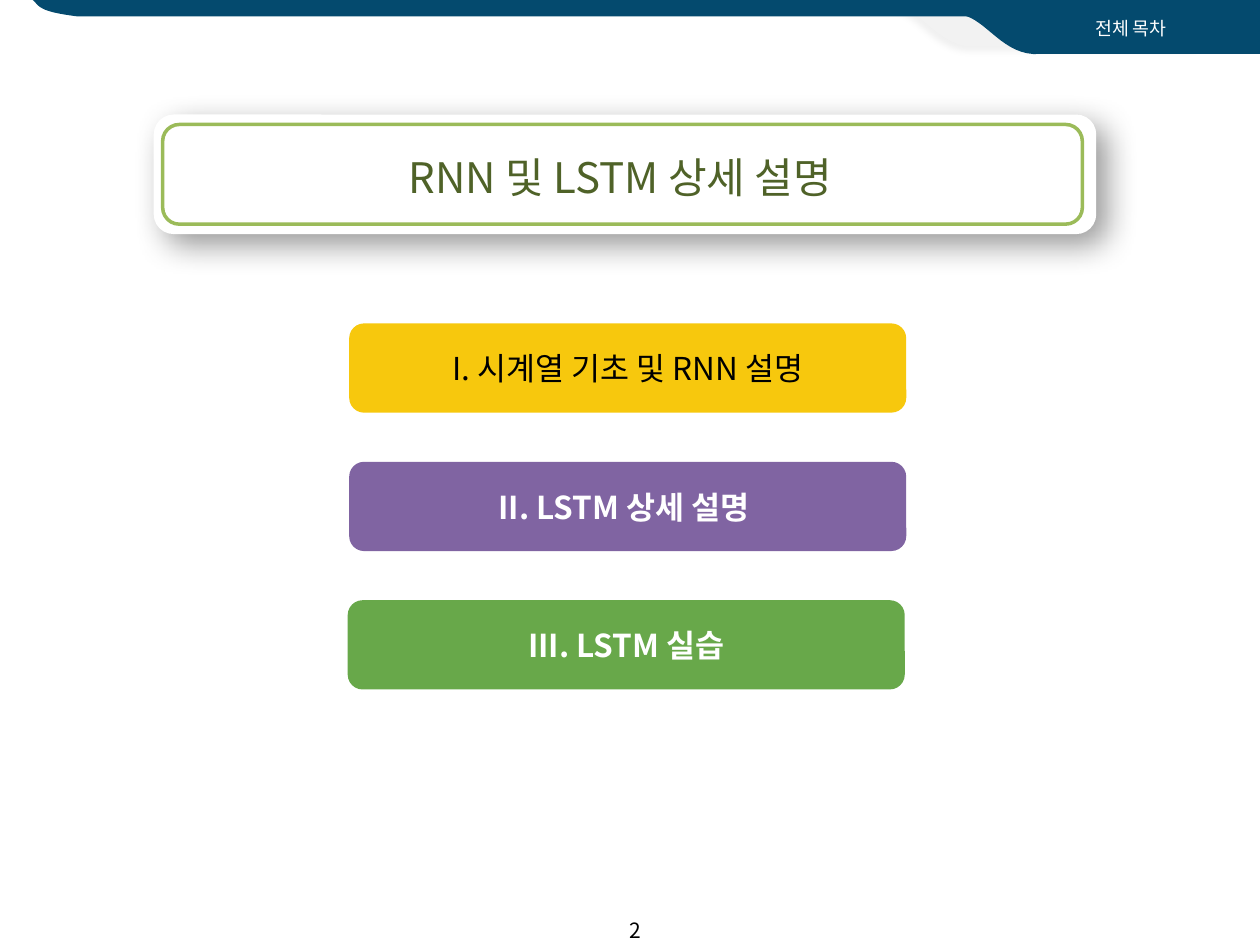
from lxml import etree
from pptx import Presentation
from pptx.dml.color import RGBColor
from pptx.enum.shapes import MSO_SHAPE
from pptx.enum.text import MSO_ANCHOR, PP_ALIGN
from pptx.oxml.ns import qn
from pptx.util import Cm, Pt

ROUNDED = MSO_SHAPE.ROUNDED_RECTANGLE
CENTER = PP_ALIGN.CENTER
MIDDLE, TOP = MSO_ANCHOR.MIDDLE, MSO_ANCHOR.TOP
FONT = "Noto Sans CJK KR"
NAVY, PALE, WHITE, BLACK = "044A6E", "F2F2F2", "FFFFFF", "000000"
CURVE_STEPS = 16


def color(hex_value):
    return RGBColor.from_string(hex_value)


def paint(shape, fill=None, line=None, width=2):
    """Set fill and outline; None leaves either one out."""
    shape.shadow.inherit = False
    if fill:
        shape.fill.solid()
        shape.fill.fore_color.rgb = color(fill)
    else:
        shape.fill.background()
    if line:
        shape.line.color.rgb = color(line)
        shape.line.width = Pt(width)
    else:
        shape.line.fill.background()


def add_shadow(shape, opacity, blur, distance, angle):
    effects = shape._element.spPr.find(qn("a:effectLst"))
    shadow = etree.SubElement(
        effects, qn("a:outerShdw"), blurRad=str(Pt(blur)), dist=str(Pt(distance)),
        dir=str(angle * 60000), algn="ctr", rotWithShape="0")
    tint = etree.SubElement(shadow, qn("a:srgbClr"), val=BLACK)
    etree.SubElement(tint, qn("a:alpha"), val=str(opacity * 1000))


def write(shape, text, size, ink=BLACK, bold=False, anchor=MIDDLE):
    frame = shape.text_frame
    frame.word_wrap = True
    frame.vertical_anchor = anchor
    paragraph = frame.paragraphs[0]
    paragraph.alignment = CENTER
    run = paragraph.add_run()
    run.text = text
    run.font.name = FONT
    run.font.size = Pt(size)
    run.font.bold = bold
    run.font.color.rgb = color(ink)
    etree.SubElement(run.font._element, qn("a:ea"), typeface=FONT)


def add_label(slide, box, text, **text_format):
    label = slide.shapes.add_textbox(*map(Cm, box))
    write(label, text, **text_format)


def add_rounded(slide, box, **look):
    shape = slide.shapes.add_shape(ROUNDED, *map(Cm, box))
    paint(shape, **look)
    return shape


def bezier(start, first, second, end):
    """Points along a cubic curve, without its start."""
    points = []
    for step in range(1, CURVE_STEPS + 1):
        t = step / CURVE_STEPS
        weights = ((1 - t) ** 3, 3 * t * (1 - t) ** 2, 3 * t * t * (1 - t), t ** 3)
        points.append(tuple(
            sum(w * value for w, value in zip(weights, axis))
            for axis in zip(start, first, second, end)))
    return points


def add_outline(slide, corners, controls, fill, offset=(0, 0)):
    """Straight edges through the corners, closed by one curve."""
    points = corners + bezier(corners[-1], *controls, corners[0])
    points = [(Cm(x + offset[0]), Cm(y + offset[1])) for x, y in points]
    builder = slide.shapes.build_freeform(*points[0])
    builder.add_line_segments(points[1:], close=True)
    outline = builder.convert_to_shape()
    paint(outline, fill=fill)
    return outline


def add_header(slide):
    tab = [(18.11, 0.15), (24.13, 0.15), (24.13, 0.94), (19.69, 0.94)]
    tab_curve = [(18.95, 0.99), (18.62, 0.23)]
    back_tab = add_outline(slide, tab, tab_curve, PALE)
    add_shadow(back_tab, opacity=5, blur=4, distance=3, angle=135)
    add_outline(slide, tab, tab_curve, NAVY, offset=(1.27, 0.15))

    band = [(0.66, 0), (25.4, 0), (25.4, 0.33), (1.55, 0.33)]
    add_outline(slide, band, [(0.76, 0.23), (0.81, 0.13)], NAVY)
    add_label(slide, (20.5, 0.23, 4.6, 0.71), "전체 목차",
              size=10.5, ink=WHITE, anchor=TOP)


def add_title_card(slide):
    card = add_rounded(slide, (3.1, 2.31, 19, 2.41), fill=WHITE)
    add_shadow(card, opacity=40, blur=18, distance=8, angle=45)
    add_label(slide, (3.33, 2.92, 18.54, 1.27), "RNN 및 LSTM 상세 설명 ",
              size=24, ink="4F6228", anchor=TOP)
    add_rounded(slide, (3.28, 2.51, 18.54, 2.01), line="9BBB59")


def add_chapters(slide):
    chapters = [
        ("I. 시계열 기초 및 RNN 설명", 7.04, "F7C80D", BLACK, False),
        ("II. LSTM 상세 설명 ", 7.04, "8064A2", WHITE, True),
        ("III. LSTM 실습", 7.01, "68A84A", WHITE, True),
    ]
    for row, (name, left, fill, ink, bold) in enumerate(chapters):
        button = add_rounded(slide, (left, 6.52 + 2.79 * row, 11.23, 1.8), fill=fill)
        write(button, name, size=18, ink=ink, bold=bold)


def main():
    deck = Presentation()
    deck.slide_width, deck.slide_height = Cm(25.4), Cm(19.05)
    slide = deck.slides.add_slide(deck.slide_layouts[6])
    add_header(slide)
    add_title_card(slide)
    add_chapters(slide)
    # Page number
    add_label(slide, (11.91, 18.24, 1.8, 1.02), "2", size=12)
    deck.save("out.pptx")


if __name__ == "__main__":
    main()
